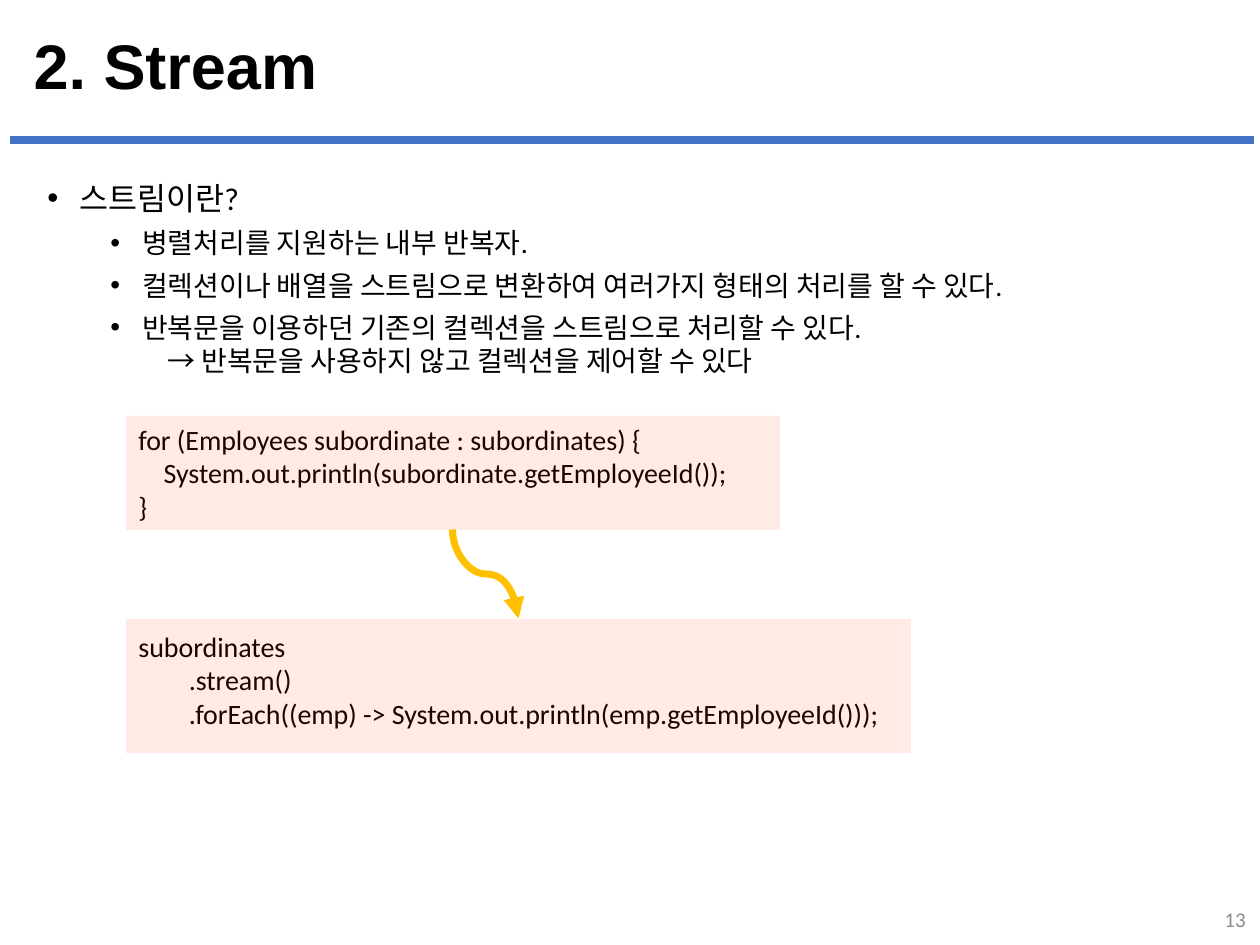
from dataclasses import dataclass

from lxml.etree import SubElement
from pptx import Presentation
from pptx.dml.color import RGBColor
from pptx.enum.shapes import MSO_CONNECTOR, MSO_SHAPE
from pptx.enum.text import MSO_ANCHOR, MSO_AUTO_SIZE, PP_ALIGN
from pptx.oxml.ns import qn
from pptx.util import Emu, Pt

PX_PER_INCH = 126
BLACK, BLUE, GREY, RED, AMBER = "000000", "4472C4", "8C8C8C", "FF3300", "FFC000"


@dataclass
class Box:
    left: int
    top: int
    width: int
    height: int


@dataclass
class Point:
    text: str
    level: int = 1
    size: int = 16
    margin: int = 95
    before: int = 5
    bullet: bool = True


@dataclass
class CodeBlock:
    lines: list[str]
    text_box: Box
    panel: Box


def px(length: int) -> Emu:
    return Emu(round(length * 914400 / PX_PER_INCH))


def frame(box: Box) -> tuple[Emu, ...]:
    return px(box.left), px(box.top), px(box.width), px(box.height)


def color(hex_value: str) -> RGBColor:
    return RGBColor.from_string(hex_value)


def set_font(paragraph, size: int, hex_value: str = BLACK, **values) -> None:
    for name, value in {"name": "Calibri", "size": Pt(size), **values}.items():
        setattr(paragraph.font, name, value)
    paragraph.font.color.rgb = color(hex_value)


def add_text(slide, box: Box, anchor=MSO_ANCHOR.TOP):
    text_frame = slide.shapes.add_textbox(*frame(box)).text_frame
    text_frame.word_wrap = True
    text_frame.vertical_anchor = anchor
    return text_frame


def next_paragraph(text_frame, index: int):
    return text_frame.add_paragraph() if index else text_frame.paragraphs[0]


def add_rectangle(slide, box: Box, hex_value: str, opacity: int = 100) -> None:
    rectangle = slide.shapes.add_shape(MSO_SHAPE.RECTANGLE, *frame(box))
    rectangle.shadow.inherit = False
    rectangle.line.fill.background()
    rectangle.fill.solid()
    rectangle.fill.fore_color.rgb = color(hex_value)
    if opacity < 100:
        tint = rectangle.fill._xPr.find(".//" + qn("a:srgbClr"))
        SubElement(tint, qn("a:alpha"), val=str(opacity * 1000))


def add_points(slide, box: Box, points: list[Point]) -> None:
    text_frame = add_text(slide, box)
    for index, point in enumerate(points):
        paragraph = next_paragraph(text_frame, index)
        paragraph.text = point.text
        paragraph.level = point.level
        paragraph.space_before = Pt(point.before)
        properties = paragraph._p.get_or_add_pPr()
        properties.set("marL", str(px(point.margin)))
        properties.set("indent", str(px(-32) if point.bullet else 0))
        if point.bullet:
            SubElement(properties, qn("a:buFont"), typeface="Arial")
            SubElement(properties, qn("a:buChar"), char="•")
        else:
            SubElement(properties, qn("a:buNone"))
        set_font(paragraph, point.size)


def add_code(slide, block: CodeBlock) -> None:
    text_frame = add_text(slide, block.text_box)
    for index, line in enumerate(block.lines):
        paragraph = next_paragraph(text_frame, index)
        paragraph.text = line
        set_font(paragraph, 16)
    add_rectangle(slide, block.panel, RED, opacity=10)


def add_curved_arrow(slide, start: tuple[int, int], end: tuple[int, int]) -> None:
    """Draw an S curve that leaves and arrives vertically: a turned, flipped one."""
    across, down = end[0] - start[0], end[1] - start[1]
    middle_x, middle_y = (start[0] + end[0]) // 2, (start[1] + end[1]) // 2
    left, top = middle_x - down // 2, middle_y - across // 2
    arrow = slide.shapes.add_connector(
        MSO_CONNECTOR.CURVE, px(left + down), px(top), px(left), px(top + across))
    arrow.line.color.rgb = color(AMBER)
    arrow.line.width = Pt(4)
    properties = arrow._element.spPr
    properties.find(qn("a:xfrm")).set("rot", str(270 * 60000))
    SubElement(properties.find(qn("a:ln")), qn("a:tailEnd"), type="triangle")
    SubElement(properties, qn("a:effectLst"))


POINTS = [
    Point("스트림이란?", level=0, size=18, margin=32, before=0),
    Point("병렬처리를 지원하는 내부 반복자."),
    Point("컬렉션이나 배열을 스트림으로 변환하여 여러가지 형태의 처리를 할 수 있다."),
    Point("반복문을 이용하던 기존의 컬렉션을 스트림으로 처리할 수 있다."),
    Point("→ 반복문을 사용하지 않고 컬렉션을 제어할 수 있다",
          margin=120, before=0, bullet=False),
]
CODE_BLOCKS = [
    CodeBlock(["for (Employees subordinate : subordinates) {",
               "    System.out.println(subordinate.getEmployeeId());",
               "}"],
              Box(126, 416, 693, 114), Box(126, 416, 654, 114)),
    CodeBlock(["subordinates",
               "        .stream()",
               "        .forEach((emp) -> System.out.println(emp.getEmployeeId()));"],
              Box(126, 623, 892, 114), Box(126, 619, 785, 134)),
]


def main() -> None:
    deck = Presentation()
    deck.slide_width, deck.slide_height = px(1260), px(945)
    slide = deck.slides.add_slide(deck.slide_layouts[5])

    # Title and rule
    title = slide.shapes.title
    title.left, title.top, title.width, title.height = frame(Box(21, 28, 1218, 83))
    title.text_frame.text = "2. Stream"
    title.text_frame.auto_size = MSO_AUTO_SIZE.NONE
    title.text_frame.vertical_anchor = MSO_ANCHOR.MIDDLE
    heading = title.text_frame.paragraphs[0]
    heading.alignment = PP_ALIGN.LEFT
    heading.line_spacing = 0.9
    set_font(heading, 36, name="Arial", bold=True)
    add_rectangle(slide, Box(10, 136, 1244, 8), BLUE)

    # Explanation
    add_points(slide, Box(35, 173, 1184, 230), POINTS)

    # Loop and its stream version
    for block in CODE_BLOCKS:
        add_code(slide, block)
    add_curved_arrow(slide, (452, 530), (518, 619))

    # Page number
    page = add_text(slide, Box(974, 894, 284, 50), MSO_ANCHOR.MIDDLE).paragraphs[0]
    page.text = "13"
    page.alignment = PP_ALIGN.RIGHT
    set_font(page, 12, GREY)

    deck.save("out.pptx")


if __name__ == "__main__":
    main()
